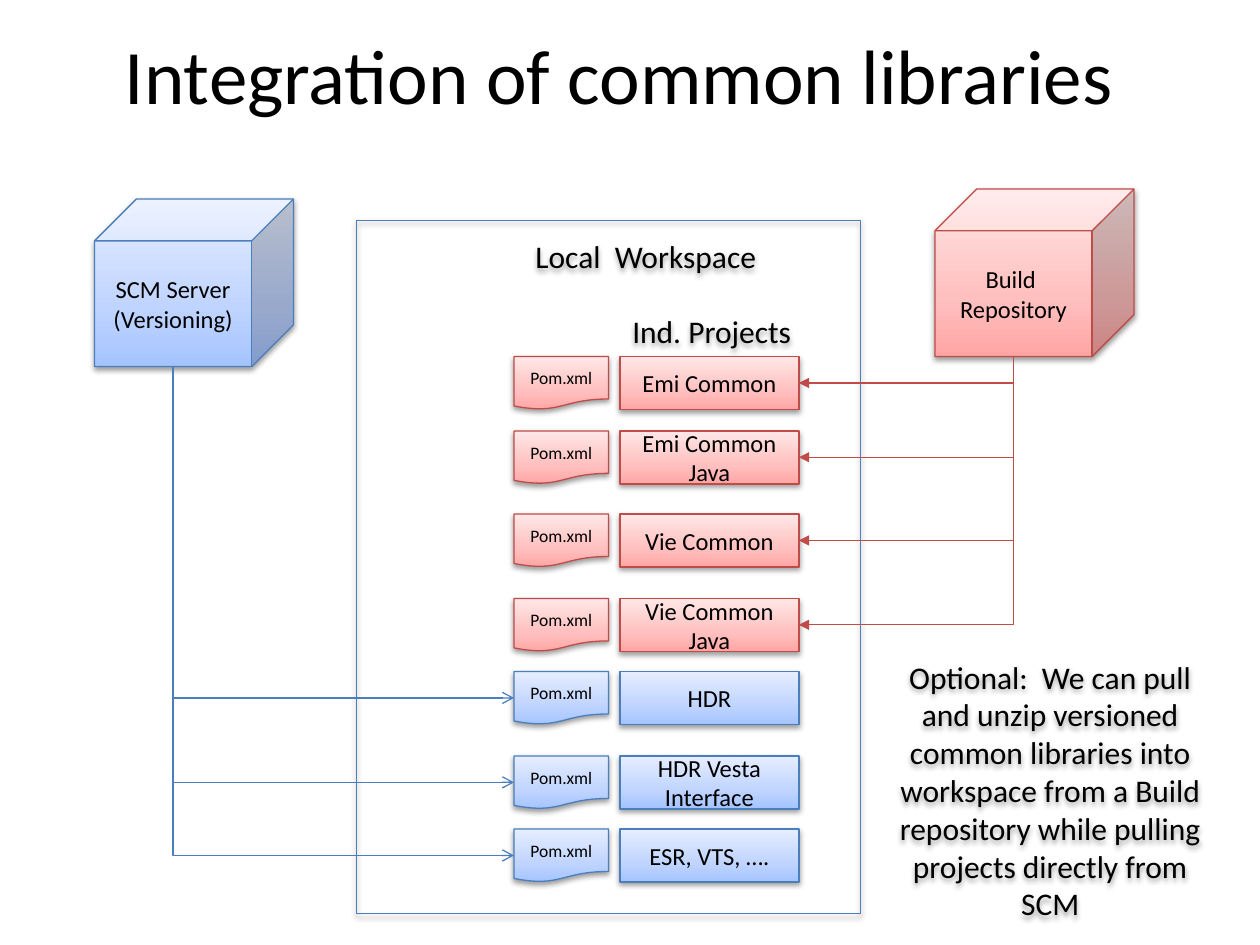
import pptx
import pptx.util
import pptx.dml.color
import pptx.enum.dml
import pptx.enum.shapes
import pptx.enum.text
import pptx.oxml.ns
from lxml import etree

Inches = pptx.util.Inches
Kind = pptx.enum.shapes.MSO_SHAPE
Align = pptx.enum.text.PP_ALIGN
qn = pptx.oxml.ns.qn

COLORS = {"ink": "000000", "blue": "4B7EBC", "red": "BF4C48"}
STOPS = {
    "blue": [(0, "A4C4FF"), (35, "BFD4FF"), (100, "E6EEFF")],
    "red": [(0, "FFA6A5"), (35, "FFC0BF"), (100, "FFE7E7")],
}
ROWS = [
    ("Emi Common", 2.83, "red"),
    ("Emi Common Java", 3.42, "red"),
    ("Vie Common", 4.08, "red"),
    ("Vie Common Java", 4.75, "red"),
    ("HDR", 5.33, "blue"),
    ("HDR Vesta Interface", 6, "blue"),
    ("ESR, VTS, ….", 6.58, "blue"),
]
CUBES = [
    ("SCM Server\n(Versioning)", 0.75, 1.58, "blue"),
    ("Build \nRepository", 7.42, 1.5, "red"),
]
LABELS = [
    ("Integration of common libraries", (0.58, 0.17, 8.67, 0.84),
     dict(size=44)),
    ("Local  Workspace", (3.5, 1.83, 3.25, 0.4), dict(size=18)),
    ("Ind. Projects", (4.92, 2.43, 1.47, 0.4),
     dict(size=18, align=Align.LEFT, wrap=False)),
    ("Optional:  We can pull and unzip versioned common libraries into "
     "workspace from a Build repository while pulling projects directly "
     "from SCM", (7, 5.17, 2.67, 2.22), dict(size=18)),
]
ROW_H = 0.42
BOX_X, BOX_W = 4.92, 1.42
DOC_X, DOC_W = 4.08, 0.75
CUBE_W, CUBE_H = 1.58, 1.33
FRONT = (CUBE_W - CUBE_H / 4) / 2
ENDS = {"red": (BOX_X + BOX_W, "triangle"), "blue": (DOC_X, "arrow")}


def rgb(name):
    return pptx.dml.color.RGBColor.from_string(COLORS[name])


def add(parent, tag, **attrs):
    return etree.SubElement(parent, qn(tag), attrs)


def write(shape, text, size=14, align=Align.CENTER, wrap=True,
          anchor=pptx.enum.text.MSO_ANCHOR.MIDDLE):
    frame = shape.text_frame
    frame.word_wrap = wrap
    frame.vertical_anchor = anchor
    frame.text = text
    for para in frame.paragraphs:
        para.alignment = align
        para.font.size = pptx.util.Pt(size)
        para.font.name = "Calibri"
        para.font.color.rgb = rgb("ink")


def shade(shape):
    shape.shadow.inherit = False
    effect = shape._element.spPr.find(qn("a:effectLst"))
    outer = add(effect, "a:outerShdw", blurRad="40000", dist="20000",
                dir="5400000", rotWithShape="0")
    color = add(outer, "a:srgbClr", val=COLORS["ink"])
    add(color, "a:alpha", val="38000")


def draw(kind, box, tone, stops=None):
    shape = slide.shapes.add_shape(kind, *map(Inches, box))
    if stops:
        shape.fill.gradient()
        shape.fill.gradient_angle = 90
        ramp = shape._element.spPr.find(".//" + qn("a:gsLst"))
        for old in list(ramp):
            ramp.remove(old)
        for pos, color in stops:
            stop = add(ramp, "a:gs", pos=str(pos * 1000))
            add(stop, "a:srgbClr", val=color)
    else:
        shape.fill.background()
    shape.line.color.rgb = rgb(tone)
    shape.line.width = pptx.util.Pt(0.75)
    shade(shape)
    return shape


def link(start, end, tone, head):
    line = slide.shapes.add_connector(
        pptx.enum.shapes.MSO_CONNECTOR.ELBOW, *map(Inches, start + end))
    line.line.color.rgb = rgb(tone)
    line.line.width = pptx.util.Pt(0.75)
    props = line._element.spPr
    props.find(qn("a:prstGeom")).set("prst", "bentConnector2")
    add(props.find(qn("a:ln")), "a:headEnd", type=head)
    add(props, "a:effectLst")


deck = pptx.Presentation()
deck.slide_width, deck.slide_height = Inches(10), Inches(7.5)
slide = deck.slides.add_slide(deck.slide_layouts[6])

draw(Kind.FLOWCHART_PROCESS, (2.83, 1.75, 4, 5.5), "blue")

ports = {}
for text, x, y, tone in CUBES:
    write(draw(Kind.CUBE, (x, y, CUBE_W, CUBE_H), tone, STOPS[tone]), text)
    ports[tone] = (x + FRONT, y + CUBE_H)

for text, y, tone in ROWS:
    box = draw(Kind.FLOWCHART_PROCESS, (BOX_X, y, BOX_W, ROW_H), tone,
               STOPS[tone])
    write(box, text)
    doc = draw(Kind.FLOWCHART_DOCUMENT, (DOC_X, y, DOC_W, ROW_H), tone,
               STOPS[tone])
    write(doc, "Pom.xml", size=10)
    x, head = ENDS[tone]
    link((x, y + ROW_H / 2), ports[tone], tone, head)

for text, box, style in LABELS:
    label = slide.shapes.add_textbox(*map(Inches, box))
    write(label, text, anchor=pptx.enum.text.MSO_ANCHOR.TOP, **style)
    if style["size"] == 18:
        shade(label)

deck.save("out.pptx")
